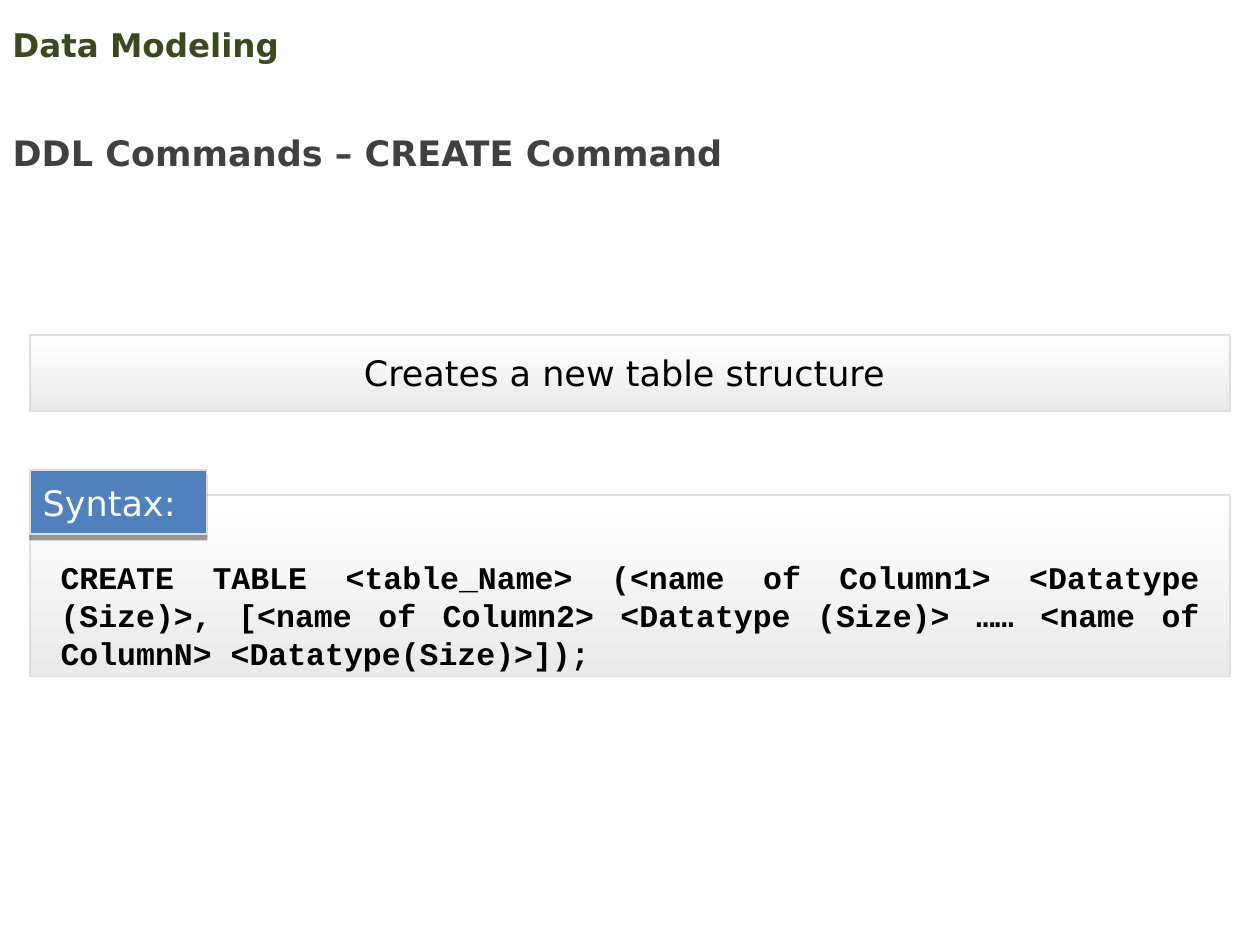
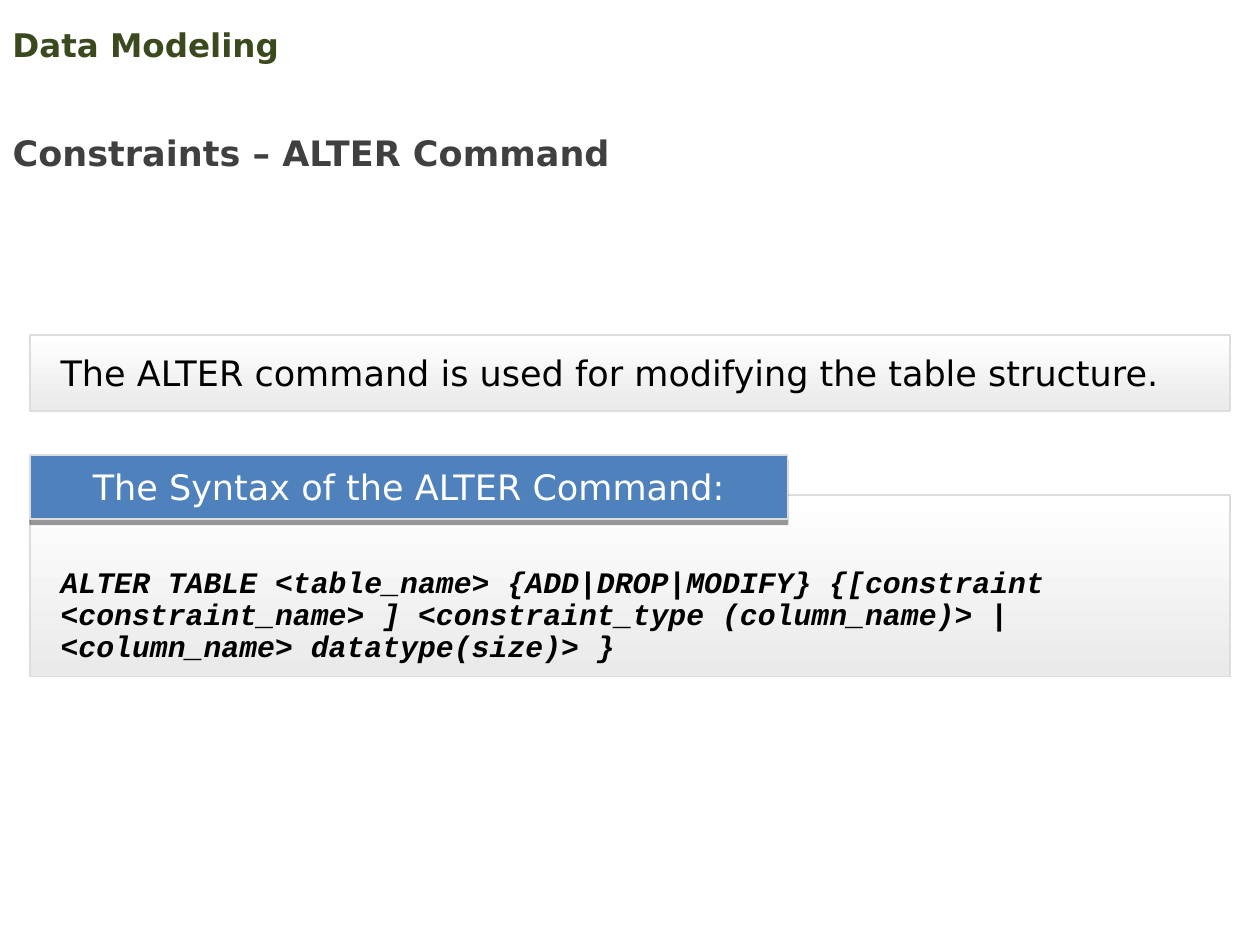
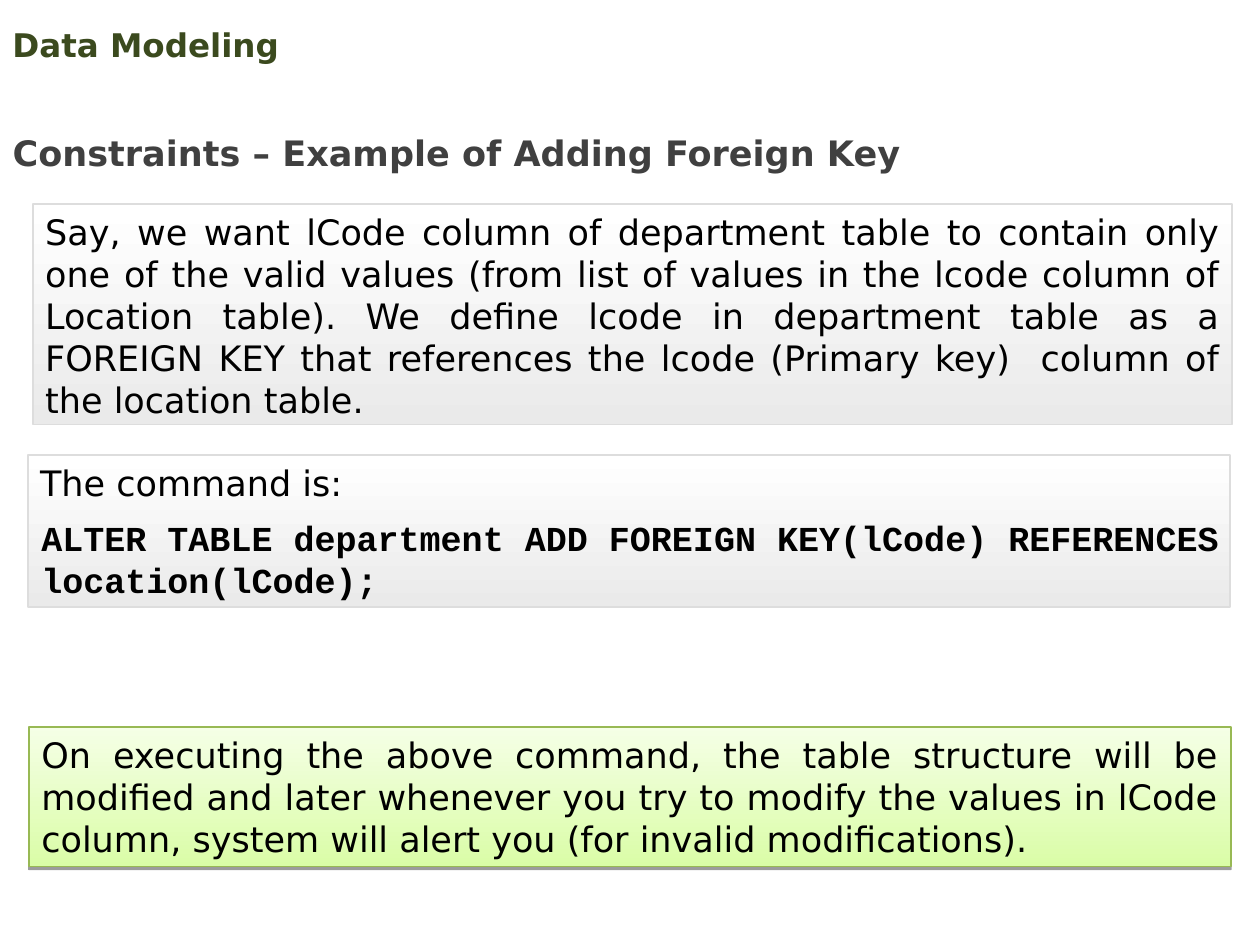
from dataclasses import dataclass

from lxml import etree
from pptx import Presentation
from pptx.dml.color import RGBColor
from pptx.enum import shapes, text
from pptx.oxml import ns
from pptx.util import Inches, Pt


@dataclass(frozen=True)
class Theme:
    sans: str = "DejaVu Sans"
    mono: str = "Courier New"
    course: str = "3B4A1E"
    title: str = "404040"
    body: str = "000000"
    white: str = "FFFFFF"
    label: str = "4F81BD"
    border: str = "DDDDDD"
    panel: tuple = ("FFFFFF", "EAEAEA")
    note: tuple = ("F5FFE6", "DAFDA7")
    note_border: str = "98B954"
    course_size: float = 18.6
    body_size: float = 20
    syntax_size: float = 18
    alter_size: float = 17


theme = Theme()
LEFT, CENTER, JUSTIFY = text.PP_ALIGN.LEFT, text.PP_ALIGN.CENTER, text.PP_ALIGN.JUSTIFY
TOP, MIDDLE, BOTTOM = text.MSO_ANCHOR.TOP, text.MSO_ANCHOR.MIDDLE, text.MSO_ANCHOR.BOTTOM
SIDE = (0.1, 0, 0.1, 0)
WIDE = (0.24, 0, 0.24, 0)
PADDED = (0.1, 0.05, 0.1, 0.05)


def write(box, words, color=theme.body, size=theme.body_size, font=theme.sans, bold=False,
          italic=False, align=LEFT, anchor=TOP, insets=PADDED, line_spacing=1.0):
    """Fill a box with one paragraph; insets run left, top, right, bottom."""
    frame = box.text_frame
    frame.word_wrap = True
    frame.auto_size = text.MSO_AUTO_SIZE.NONE
    frame.vertical_anchor = anchor
    (frame.margin_left, frame.margin_top,
     frame.margin_right, frame.margin_bottom) = map(Inches, insets)
    para = frame.paragraphs[0]
    para.alignment = align
    para.line_spacing = line_spacing
    span = para.add_run()
    span.text = words
    span.font.name, span.font.size = font, Pt(size)
    span.font.bold, span.font.italic = bold, italic
    span.font.color.rgb = RGBColor.from_string(color)


def add_panel(page, place, colors=theme.panel, border=theme.border, border_width=1.0,
              shadow=None):
    """Add a rectangle, plain or shaded downwards; shadow is (drop in points, opacity %)."""
    panel = page.shapes.add_shape(shapes.MSO_SHAPE.RECTANGLE, *map(Inches, place))
    panel.shadow.inherit = False
    if isinstance(colors, str):
        panel.fill.solid()
        panel.fill.fore_color.rgb = RGBColor.from_string(colors)
    else:
        panel.fill.gradient()
        panel.fill.gradient_angle = 270
        for stop, color in zip(panel.fill.gradient_stops, colors):
            stop.color.rgb = RGBColor.from_string(color)
    panel.line.color.rgb = RGBColor.from_string(border)
    panel.line.width = Pt(border_width)
    if shadow:
        drop, opacity = shadow
        effects = panel.element.spPr.find(ns.qn("a:effectLst"))
        outer = etree.SubElement(effects, ns.qn("a:outerShdw"), dist=str(Pt(drop)),
                                 dir="5400000", rotWithShape="0")
        black = etree.SubElement(outer, ns.qn("a:srgbClr"), val="000000")
        etree.SubElement(black, ns.qn("a:alpha"), val=str(opacity * 1000))
    return panel


deck = Presentation()
deck.slide_width, deck.slide_height = Inches(10), Inches(7.5)

pages = []
for heading in ("DDL Commands – CREATE Command",
                "Constraints – ALTER Command",
                "Constraints – Example of Adding Foreign Key"):
    page = deck.slides.add_slide(deck.slide_layouts[5])
    course = page.shapes.add_textbox(*map(Inches, (0, 0.14, 9, 0.43)))
    write(course, "Data Modeling", theme.course, theme.course_size, bold=True, anchor=MIDDLE)
    title = page.shapes.title
    title.left, title.top, title.width, title.height = map(Inches, (0, 0.83, 9.57, 0.6))
    write(title, heading, theme.title, bold=True, line_spacing=1.5)
    pages.append(page)
create_page, alter_page, example_page = pages

# Command slides: a summary bar above a syntax panel with a label on its edge
commands = [
    (create_page,
     "Creates a new table structure ", dict(align=CENTER),
     "CREATE TABLE <table_Name> (<name of Column1> <Datatype (Size)>, "
     "[<name of Column2> <Datatype (Size)> …… <name of ColumnN> <Datatype(Size)>]);",
     dict(size=theme.syntax_size, align=JUSTIFY, insets=(0.24, 0.5, 0.24, 0)),
     "Syntax:", (0.24, 3.73, 1.4, 0.51), dict(insets=(0.1, 0, 0, 0))),
    (alter_page,
     "The ALTER command is used for modifying the table structure.", dict(align=JUSTIFY),
     "ALTER TABLE <table_name> {ADD|DROP|MODIFY} {[constraint <constraint_name> ] "
     "<constraint_type (column_name)> |<column_name> datatype(size)> }",
     dict(size=theme.alter_size, italic=True, anchor=BOTTOM, line_spacing=0.9,
          insets=(0.24, 0, 0.24, 0.1)),
     "The Syntax of the ALTER Command:", (0.24, 3.61, 6.01, 0.51),
     dict(align=CENTER, insets=(0, 0, 0, 0))),
]
for page, summary, summary_style, syntax, syntax_style, label, label_place, label_style in commands:
    write(add_panel(page, (0.24, 2.66, 9.52, 0.6)), summary,
          anchor=MIDDLE, insets=WIDE, **summary_style)
    write(add_panel(page, (0.24, 3.93, 9.52, 1.44)), syntax,
          font=theme.mono, bold=True, **syntax_style)
    write(add_panel(page, label_place, theme.label, shadow=(3, 40)), label,
          theme.white, anchor=MIDDLE, **label_style)

# Foreign key example
write(add_panel(example_page, (0.26, 1.62, 9.52, 1.75)),
      "Say, we want lCode column of department table to contain only one of the valid values "
      "(from list of values in the lcode column of Location table). We define lcode in "
      "department table as a FOREIGN KEY that references the lcode (Primary key)  column of "
      "the location table.", align=JUSTIFY)
write(add_panel(example_page, (0.22, 3.61, 9.54, 1.21)), "The command is:")
command = example_page.shapes.add_textbox(*map(Inches, (0.23, 4.05, 9.74, 0.77)))
write(command, "ALTER TABLE department ADD FOREIGN KEY(lCode) REFERENCES location(lCode);",
      font=theme.mono, bold=True)
write(add_panel(example_page, (0.23, 5.77, 9.54, 1.11), theme.note, theme.note_border, 0.75,
                shadow=(1.6, 38)),
      "On executing the above command, the table structure will be modified and later whenever "
      "you try to modify the values in lCode column, system will alert you (for invalid "
      "modifications).", align=JUSTIFY, anchor=MIDDLE, insets=SIDE)

deck.save("out.pptx")
